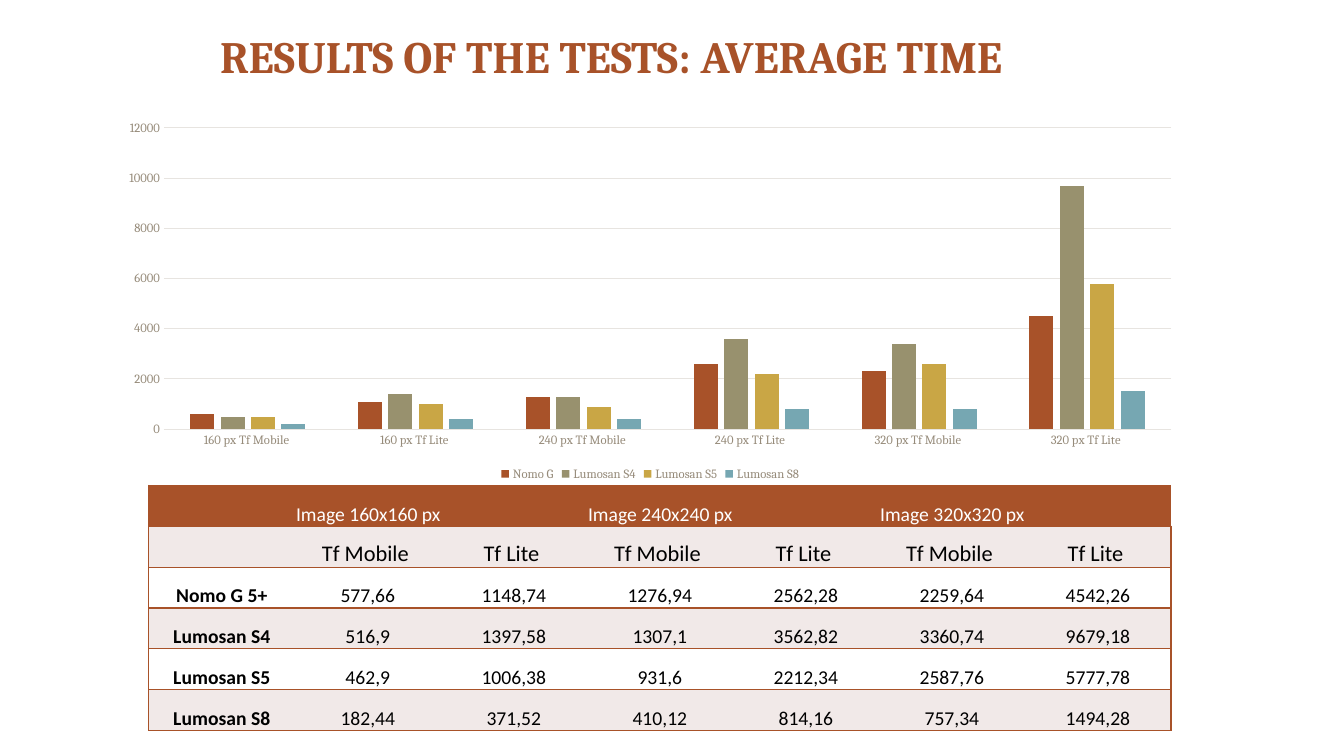
from dataclasses import dataclass

from lxml import etree
from pptx import Presentation
from pptx import util as u
from pptx.chart.data import CategoryChartData
from pptx.dml.color import RGBColor
from pptx.enum import chart as ch
from pptx.enum import text
from pptx.oxml.ns import qn


@dataclass(frozen=True)
class Theme:
    heading: str = "Cambria"
    body: str = "Calibri"
    accent: str = "A85229"
    ink: str = "000000"
    paper: str = "FFFFFF"
    band: str = "F1E9E8"
    muted: str = "968B7A"
    rule: str = "E7E4E0"
    series: tuple = ("A85229", "98916E", "C9A645", "76A7B2")
    title_pt: int = 32
    column_pt: int = 16
    cell_pt: int = 14
    chart_pt: int = 9
    rule_pt: float = 0.75
    border_pt: int = 1


# Data shared by the chart and the table
SIZES = (160, 240, 320)
ENGINES = ("Tf Mobile ", "Tf Lite ")
TIMES = {
    "Nomo G 5+": (577.66, 1148.74, 1276.94, 2562.28, 2259.64, 4542.26),
    "Lumosan S4": (516.9, 1397.58, 1307.1, 3562.82, 3360.74, 9679.18),
    "Lumosan S5": (462.9, 1006.38, 931.6, 2212.34, 2587.76, 5777.78),
    "Lumosan S8": (182.44, 371.52, 410.12, 814.16, 757.34, 1494.28),
}


def rgb(color):
    return RGBColor.from_string(color)


def style_font(font, name, size, color, bold=False):
    font.name, font.size, font.bold = name, u.Pt(size), bold
    font.color.rgb = rgb(color)


def write(tf, content, *, name, size, color, bold=False, align=None, spacing=None):
    p = tf.paragraphs[0]
    p.alignment, p.line_spacing = align, spacing
    r = p.add_run()
    r.text = content
    style_font(r.font, name, size, color, bold)


def set_borders(cell, colors, width):
    """Draw left, right, top and bottom borders; None hides a side."""
    tc_pr = cell._tc.get_or_add_tcPr()
    for i, (side, color) in enumerate(zip("LRTB", colors)):
        ln = etree.Element(qn(f"a:ln{side}"), w=str(u.Pt(width)))
        if color:
            fill = etree.SubElement(ln, qn("a:solidFill"))
            etree.SubElement(fill, qn("a:srgbClr"), val=color)
        else:
            etree.SubElement(ln, qn("a:noFill"))
        tc_pr.insert(i, ln)


class SlideBuilder:
    def __init__(self, prs, theme):
        self.theme = theme
        self.slide = prs.slides.add_slide(prs.slide_layouts[5])

    def title(self, content, left, top, width, height):
        t = self.theme
        sp = self.slide.shapes.title
        sp.left, sp.top, sp.width, sp.height = map(u.Cm, (left, top, width, height))
        tf = sp.text_frame
        tf.word_wrap = True
        tf.vertical_anchor = text.MSO_ANCHOR.BOTTOM
        write(tf, content, name=t.heading, size=t.title_pt, color=t.accent,
              bold=True, align=text.PP_ALIGN.CENTER, spacing=0.9)

    def column_chart(self, categories, series, left, top, width, height):
        t = self.theme
        data = CategoryChartData()
        data.categories = categories
        for name, values in series.items():
            data.add_series(name, values)
        chart = self.slide.shapes.add_chart(
            ch.XL_CHART_TYPE.COLUMN_CLUSTERED,
            *map(u.Cm, (left, top, width, height)), data).chart
        chart.has_title = False
        style_font(chart.font, t.heading, t.chart_pt, t.muted)

        # Columns
        plot = chart.plots[0]
        plot.gap_width, plot.overlap, plot.vary_by_categories = 219, -27, False
        for bars, color in zip(plot.series, t.series):
            bars.format.fill.solid()
            bars.format.fill.fore_color.rgb = rgb(color)

        # Axes and gridlines
        for axis in (chart.category_axis, chart.value_axis):
            axis.major_tick_mark = axis.minor_tick_mark = ch.XL_TICK_MARK.NONE
            style_font(axis.tick_labels.font, t.heading, t.chart_pt, t.muted)
        values_axis = chart.value_axis
        values_axis.minimum_scale, values_axis.maximum_scale = 0, 12000
        values_axis.major_unit = 2000
        values_axis.format.line.fill.background()
        for line in (chart.category_axis.format.line,
                     values_axis.major_gridlines.format.line):
            line.color.rgb = rgb(t.rule)
            line.width = u.Pt(t.rule_pt)

        # Legend
        chart.has_legend = True
        chart.legend.position = ch.XL_LEGEND_POSITION.BOTTOM
        chart.legend.include_in_layout = False
        style_font(chart.legend.font, t.heading, t.chart_pt, t.muted)

    def table(self, rows, left, top, col_width, row_height):
        t = self.theme
        n_rows, n_cols = len(rows), len(rows[0])
        table = self.slide.shapes.add_table(
            n_rows, n_cols, u.Cm(left), u.Cm(top),
            u.Cm(col_width * n_cols), u.Cm(row_height * n_rows)).table
        table.first_row = table.horz_banding = False
        for col in table.columns:
            col.width = u.Cm(col_width)
        for row in table.rows:
            row.height = u.Cm(row_height)

        for i, row in enumerate(rows):
            fill = t.accent if i == 0 else t.band if i % 2 else t.paper
            for j, content in enumerate(row):
                cell = table.cell(i, j)
                cell.fill.solid()
                cell.fill.fore_color.rgb = rgb(fill)
                cell.vertical_anchor = text.MSO_ANCHOR.BOTTOM
                cell.margin_left = cell.margin_right = cell.margin_top = u.Cm(0.03)
                cell.margin_bottom = 0
                set_borders(cell, (t.accent if j == 0 else None,
                                   t.accent if j == n_cols - 1 else None,
                                   t.accent, t.accent), t.border_pt)
                if content:
                    write(cell.text_frame, content, name=t.body,
                          size=t.column_pt if i == 1 else t.cell_pt,
                          color=t.ink if i else t.paper, bold=j == 0,
                          align=text.PP_ALIGN.CENTER if i else text.PP_ALIGN.LEFT)

        # Each image size spans its two engines
        for j in range(1, n_cols, len(ENGINES)):
            table.cell(0, j).merge(table.cell(0, j + len(ENGINES) - 1))


def main():
    prs = Presentation()
    prs.slide_width, prs.slide_height = u.Cm(33.87), u.Cm(19.05)
    s = SlideBuilder(prs, Theme())

    s.title("RESULTS OF THE TESTS: AVERAGE TIME", 3.75, 0, 23.32, 2.22)

    # Table of average times
    size_row, engine_row = [""], [""]
    for size in SIZES:
        size_row += [f"Image {size}x{size} px", ""]
        engine_row += ENGINES
    time_rows = [[phone] + [str(v).replace(".", ",") for v in times]
                 for phone, times in TIMES.items()]
    s.table([size_row, engine_row] + time_rows, 3.75, 12.23, 3.68, 1.03)

    # Chart of the same times, rounded to hundreds
    categories = [f"{size} px {engine}" for size in SIZES for engine in ENGINES]
    series = {phone.removesuffix(" 5+"): [round(v / 100) * 100 for v in times]
              for phone, times in TIMES.items()}
    s.column_chart(categories, series, 2.71, 2.85, 27.35, 9.38)

    prs.save("out.pptx")


if __name__ == "__main__":
    main()
